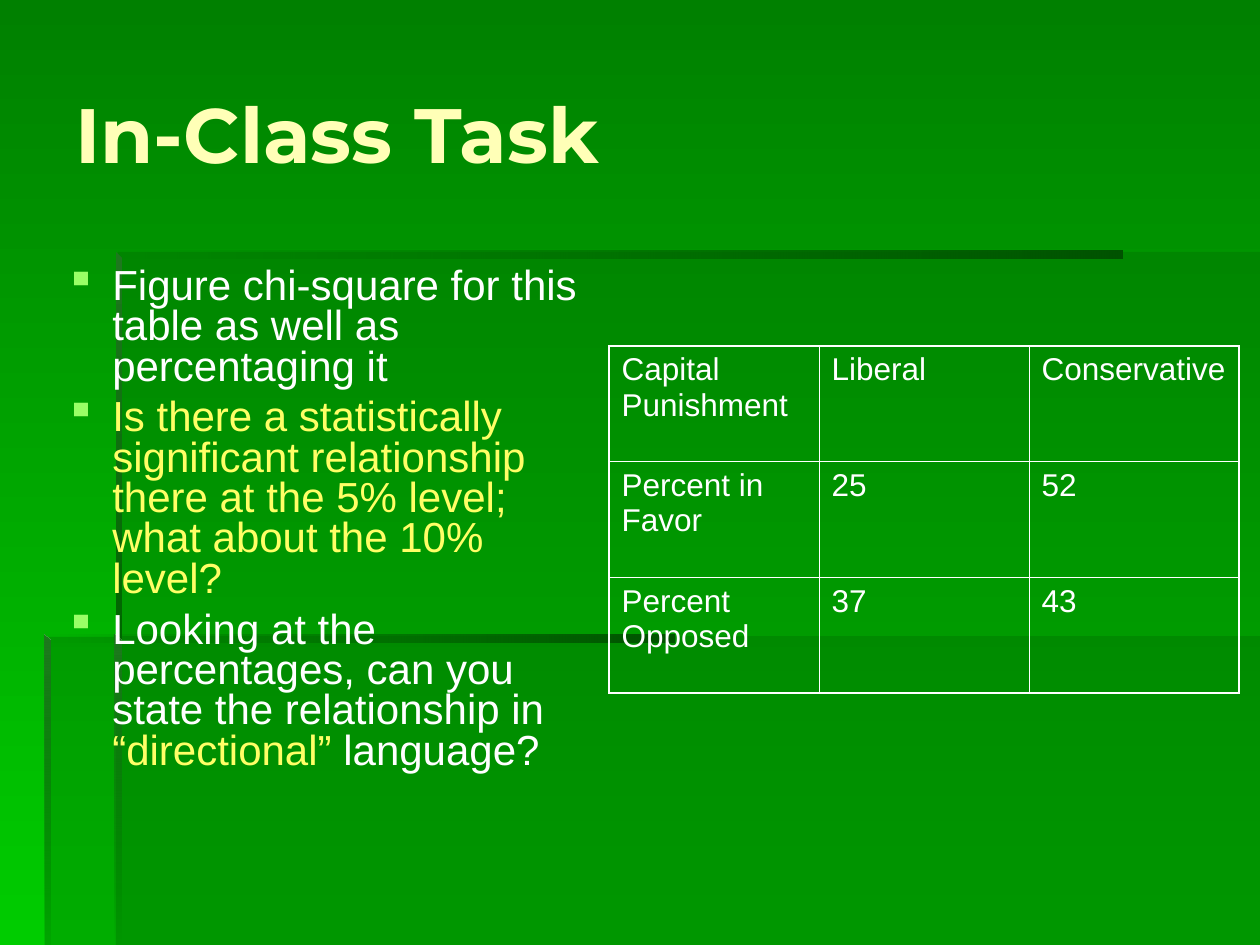
"""Build the In-Class Task slide: a green backdrop, three questions and a table."""
from lxml import etree
from pptx import Presentation
from pptx import util as u
from pptx.dml.color import RGBColor
from pptx.enum import text
from pptx.oxml.ns import qn

EMU_PER_PX = 914400 / 126
WIDTH, HEIGHT = 1260, 945
WHITE, YELLOW, CREAM, LIME = "FFFFFF", "FFFF66", "FFFFB7", "99FF66"
SHADE, DARK, EDGE = "006600", "005300", "1E781E"
DOWN, LEFTWARD = 270, 180


def px(length):
    return u.Emu(round(length * EMU_PER_PX))


def color(code):
    return RGBColor.from_string(code)


def child(parent, tag, **attributes):
    return etree.SubElement(parent, qn(tag), attributes)


def add_text(para, words, *, size, font="Arial", ink=WHITE, bold=False):
    span = para.add_run()
    span.text = words
    span.font.size = u.Pt(size)
    span.font.name = font
    span.font.bold = bold
    span.font.color.rgb = color(ink)


def fade(fill, codes, angle):
    fill.gradient()
    fill.gradient_angle = angle
    for stop, code, position in zip(fill.gradient_stops, codes, (0, 1)):
        stop.color.rgb = color(code)
        stop.position = position


class Slide:
    def __init__(self, deck):
        self.page = deck.slides.add_slide(deck.slide_layouts[6])

    def backdrop(self, codes):
        fade(self.page.background.fill, codes, DOWN)

    def outline(self, points, codes, opacity, angle=DOWN):
        builder = self.page.shapes.build_freeform(*points[0], scale=EMU_PER_PX)
        builder.add_line_segments(points[1:], close=True)
        shape = builder.convert_to_shape()
        shape.shadow.inherit = False
        shape.line.fill.background()
        if len(codes) == 1:
            shape.fill.solid()
            shape.fill.fore_color.rgb = color(codes[0])
        else:
            fade(shape.fill, codes, angle)
        if opacity < 100:
            last = list(shape._element.spPr.iter(qn("a:srgbClr")))[-1]
            child(last, "a:alpha", val=str(opacity * 1000))

    def box(self, left, top, width, height, anchor=text.MSO_ANCHOR.TOP):
        frame = self.page.shapes.add_textbox(*map(px, (left, top, width, height))).text_frame
        frame.word_wrap = True
        frame.vertical_anchor = anchor
        return frame

    def title(self, words, *place):
        frame = self.box(*place, anchor=text.MSO_ANCHOR.MIDDLE)
        add_text(frame.paragraphs[0], words, size=44, font="Montserrat", ink=CREAM, bold=True)

    def bullets(self, items, *place):
        frame = self.box(*place)
        for index, item in enumerate(items):
            para = frame.add_paragraph() if index else frame.paragraphs[0]
            properties = para._p.get_or_add_pPr()
            properties.set("marL", str(px(47)))
            properties.set("indent", str(-px(47)))
            child(child(properties, "a:buClr"), "a:srgbClr", val=LIME)
            child(properties, "a:buChar", char="▪")
            para.line_spacing = 0.8
            para.space_before = u.Pt(6 if index else 0)
            for words, ink in item:
                add_text(para, words, size=24, ink=ink)

    def table(self, rows, *place):
        last_row, last_column = len(rows) - 1, len(rows[0]) - 1
        grid = self.page.shapes.add_table(len(rows), len(rows[0]), *map(px, place)).table
        grid.first_row = grid.horz_banding = False
        for r, row in enumerate(rows):
            for c, words in enumerate(row):
                cell = grid.cell(r, c)
                add_text(cell.text_frame.paragraphs[0], words, size=18)
                outer = {"L": c == 0, "R": c == last_column, "T": r == 0, "B": r == last_row}
                for side, is_outer in outer.items():
                    width = u.Pt(1.08 if is_outer else 0.45)
                    line = child(cell._tc.get_or_add_tcPr(), f"a:ln{side}", w=str(width))
                    child(child(line, "a:solidFill"), "a:srgbClr", val=WHITE)
                cell.fill.background()


def main():
    deck = Presentation()
    deck.slide_width, deck.slide_height = px(WIDTH), px(HEIGHT)
    slide = Slide(deck)
    slide.backdrop(("008000", "00CC00"))

    lower_panel = [(116, 636), (116, HEIGHT), (WIDTH, HEIGHT), (WIDTH, 636)]
    stepped_panel = [(118, 637), (45, 637), (45, HEIGHT), (WIDTH, HEIGHT), (WIDTH, 252), (118, 252)]
    for panel in (lower_panel, stepped_panel):
        slide.outline(panel, (SHADE,), 30)

    def bar(left, top, right):
        points = [(left, top), (left, top + 7), (right, top + 7), (right, top)]
        slide.outline(points, (DARK, SHADE), 0, LEFTWARD)

    def post(left, top, bottom, opacity):
        points = [(left, top), (left, bottom), (left + 6, bottom), (left + 6, top + 6)]
        slide.outline(points, (EDGE, SHADE), opacity)

    bar(116, 251, 1123)
    post(116, 252, 642, 100)
    post(115, 635, HEIGHT, 0)
    bar(44, 635, 674)
    post(44, 635, HEIGHT, 10)

    slide.title("In-Class Task", 63, 34, 1155, 198)
    slide.bullets([
        [("Figure chi-square for this table as well as percentaging it", WHITE)],
        [("Is there a statistically significant relationship there at the 5% level; "
          "what about the 10% level?", YELLOW)],
        [("Looking at the percentages, can you state the relationship in ", WHITE),
         ("“directional”", YELLOW), (" language?", WHITE)],
    ], 53, 262, 542, 577)
    slide.table([
        ["Capital Punishment", "Liberal", "Conservative"],
        ["Percent in Favor", "25", "52"],
        ["Percent Opposed", "37", "43"],
    ], 609, 346, 630, 347)
    deck.save("out.pptx")


if __name__ == "__main__":
    main()
